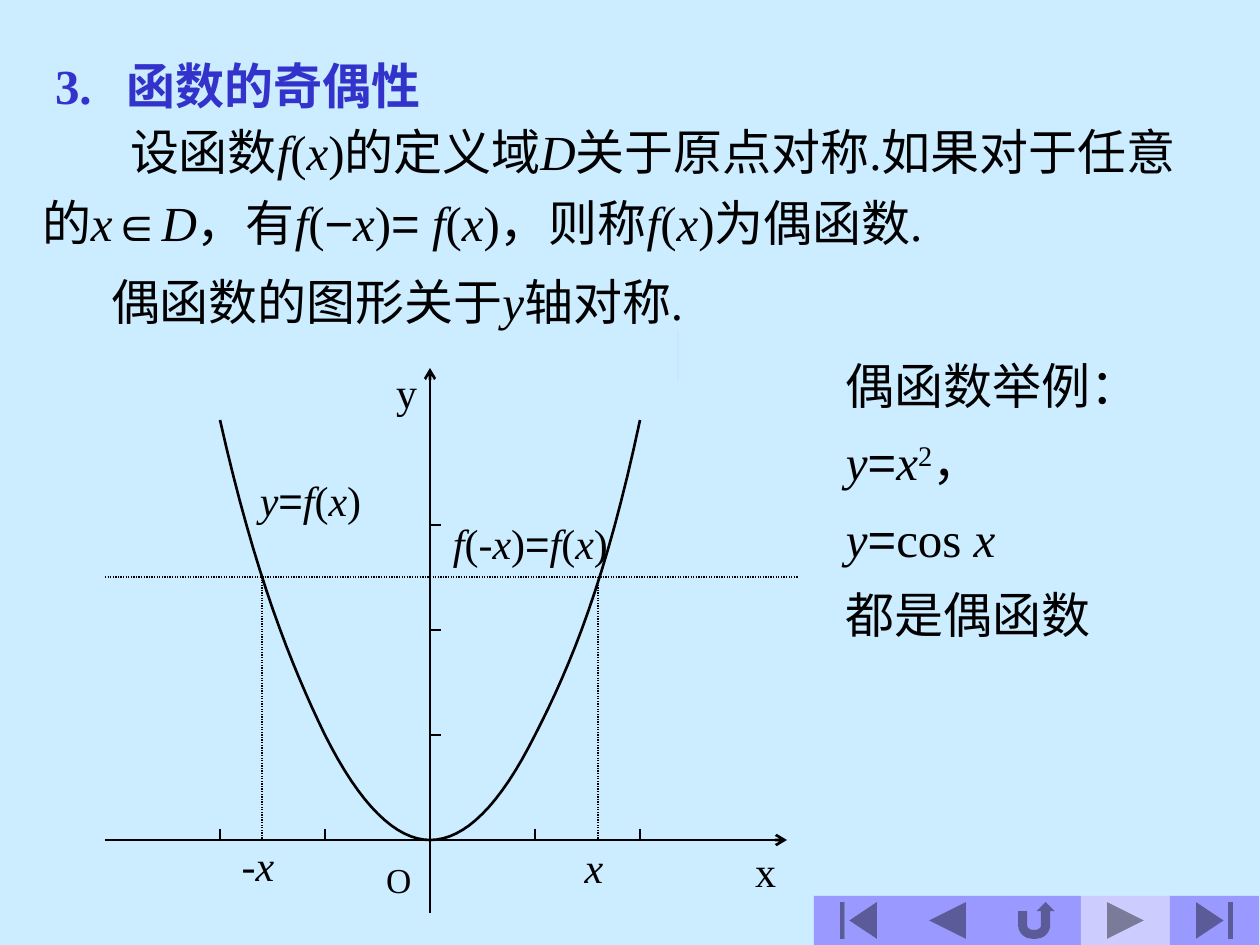
from itertools import groupby

from lxml.etree import SubElement
from pptx import Presentation
from pptx.dml.color import RGBColor
from pptx.enum.dml import MSO_LINE
from pptx.enum.shapes import MSO_CONNECTOR, MSO_SHAPE
from pptx.enum.text import MSO_ANCHOR, MSO_AUTO_SIZE, PP_ALIGN
from pptx.oxml.ns import qn
from pptx.util import Pt

PX = 914400 / 126
COLORS = {
    "background": "CCECFF", "title": "3333CC", "ink": "000000",
    "mark": "99CCFF", "button": "9999FF", "current": "CCCCFF",
}
C = {name: RGBColor.from_string(value) for name, value in COLORS.items()}


def px(*values):
    return [round(v * PX) for v in values]


def write(s, box, lines, size=28, spacing=1.2, color="ink", bold=False,
          align=PP_ALIGN.LEFT, anchor=MSO_ANCHOR.TOP, wrap=False, inset=(13, 6),
          margin=0, indent=0):
    """Fill a box; *...* is italic, ^...^ is superscript, maths signs are Arial."""
    s.left, s.top, s.width, s.height = px(*box)
    tf = s.text_frame
    tf.word_wrap, tf.auto_size, tf.vertical_anchor = wrap, MSO_AUTO_SIZE.NONE, anchor
    tf.margin_left = tf.margin_right = px(inset[0])[0]
    tf.margin_top = tf.margin_bottom = px(inset[1])[0]
    for i, line in enumerate(lines):
        p = tf.add_paragraph() if i else tf.paragraphs[0]
        p.alignment, p.line_spacing, p.space_before = align, spacing, Pt(0)
        pPr = p._p.get_or_add_pPr()
        pPr.set("marL", str(px(margin)[0]))
        pPr.set("indent", str(px(indent)[0]))
        italic = raised = False
        styled = []
        for ch in line:
            if ch == "*":
                italic = not italic
            elif ch == "^":
                raised = not raised
            else:
                styled.append((ch, (italic, raised, ch in "=∈−")))
        for (slanted, high, sign), chars in groupby(styled, key=lambda item: item[1]):
            r = p.add_run()
            r.text = "".join(ch for ch, _ in chars)
            r.font.name = "Arial" if sign else "Times New Roman"
            r.font.size, r.font.bold, r.font.italic = Pt(size), bold, slanted
            r.font.color.rgb = C[color]
            if high:
                r.font._element.set("baseline", "30000")


prs = Presentation()
prs.slide_width, prs.slide_height = px(1260, 945)
slide = prs.slides.add_slide(prs.slide_layouts[5])
slide.background.fill.solid()
slide.background.fill.fore_color.rgb = C["background"]
shapes = slide.shapes

# Title
write(shapes.title, (42, 42, 469, 63), ["3.\t函数的奇偶性"], spacing=1.4,
      color="title", bold=True, anchor=MSO_ANCHOR.MIDDLE, inset=(13, 0),
      margin=72, indent=-72)

# Thin mark and navigation buttons
items = [(MSO_SHAPE.RECTANGLE, (678, 331, 0, 50), "mark")]
buttons = [MSO_SHAPE.ACTION_BUTTON_BEGINNING, MSO_SHAPE.ACTION_BUTTON_BACK_OR_PREVIOUS,
           MSO_SHAPE.ACTION_BUTTON_RETURN, MSO_SHAPE.ACTION_BUTTON_FORWARD_OR_NEXT,
           MSO_SHAPE.ACTION_BUTTON_END]
for i, kind in enumerate(buttons):
    items.append((kind, (814 + 89 * i, 896, 89, 49), "current" if i == 3 else "button"))
for kind, box, color in items:
    s = shapes.add_shape(kind, *px(*box))
    s.shadow.inherit = False
    s.fill.solid()
    s.fill.fore_color.rgb = C[color]
    s.line.fill.background()

# Axes, ticks and dotted guides: ends, width, style
ox, oy, unit = 430, 840, 105
lines = [((105, oy, 787, oy), 1.5, "arrow"), ((ox, 913, ox, 368), 1.5, "arrow")]
for n in (-2, -1, 1, 2):
    lines.append(((ox + n * unit, oy - 11, ox + n * unit, oy), 0.75, "solid"))
for n in (1, 2, 3):
    lines.append(((ox, oy - n * unit, ox + 11, oy - n * unit), 0.75, "solid"))
lines.append(((105, 577, 798, 577), 0.75, "dotted"))
for x in (262, 598):
    lines.append(((x, 577, x, oy), 0.75, "dotted"))
for ends, width, style in lines:
    s = shapes.add_connector(MSO_CONNECTOR.STRAIGHT, *px(*ends))
    s.line.width, s.line.color.rgb = Pt(width), C["ink"]
    if style == "dotted":
        s.line.dash_style = MSO_LINE.ROUND_DOT
    if style == "arrow":
        SubElement(s.line._get_or_add_ln(), qn("a:tailEnd"), type="arrow")
    SubElement(s._element.spPr, qn("a:effectLst"))

# Even curve, sampled from four cubic arcs
knots = [(220, 420), (255, 575), (291, 665), (325, 735), (360, 805), (396, 840), (430, 840),
         (465, 840), (500, 805), (535, 735), (571, 665), (606, 580), (640, 420)]
curve = [px(*knots[0])]
for k in range(0, 12, 3):
    for step in range(1, 17):
        t = step / 16
        weights = ((1 - t) ** 3, 3 * t * (1 - t) ** 2, 3 * t * t * (1 - t), t ** 3)
        curve.append(px(*(sum(w * knot[axis] for w, knot in zip(weights, knots[k:k + 4]))
                          for axis in (0, 1))))
builder = shapes.build_freeform(*curve[0])
builder.add_line_segments(curve[1:], close=False)
s = builder.convert_to_shape()
s.shadow.inherit = False
s.fill.background()
s.line.width, s.line.color.rgb = Pt(1.5), C["ink"]

# Graph labels: text, box, size, line spacing
labels = [
    ("O", (374, 835, 50, 72), 20, 1.4),
    ("x", (743, 849, 45, 53), 24, 0.8),
    ("y", (384, 370, 45, 53), 24, 0.8),
    ("-*x*", (229, 859, 58, 33), 24, 0.4),
    ("*x*", (572, 857, 44, 38), 24, 0.5),
    ("*f*(-*x*)=*f*(*x*)", (436, 525, 189, 48), 24, 0.7),
    ("*y*=*f*(*x*)", (243, 486, 135, 43), 24, 0.6),
]
for text, box, size, spacing in labels:
    write(shapes.add_textbox(0, 0, 0, 0), box, [text], size, spacing,
          align=PP_ALIGN.CENTER, anchor=MSO_ANCHOR.MIDDLE)

# Definition, symmetry and examples
write(shapes.add_textbox(0, 0, 0, 0), (42, 110, 1176, 141),
      ["设函数*f*(*x*)的定义域*D*关于原点对称.如果对于任意的*x*∈*D*，"
       "有*f*(−*x*)= *f*(*x*)，则称*f*(*x*)为偶函数."],
      wrap=True, inset=(0, 0), indent=88)
write(shapes.add_textbox(0, 0, 0, 0), (23, 260, 709, 71),
      ["偶函数的图形关于*y*轴对称."], inset=(0, 0), indent=88)
write(shapes.add_textbox(0, 0, 0, 0), (833, 331, 357, 319),
      ["偶函数举例：", "*y*=*x*^2^，", "*y*=cos *x*", "都是偶函数"],
      spacing=1.3, anchor=MSO_ANCHOR.MIDDLE, wrap=True)

prs.save("out.pptx")
